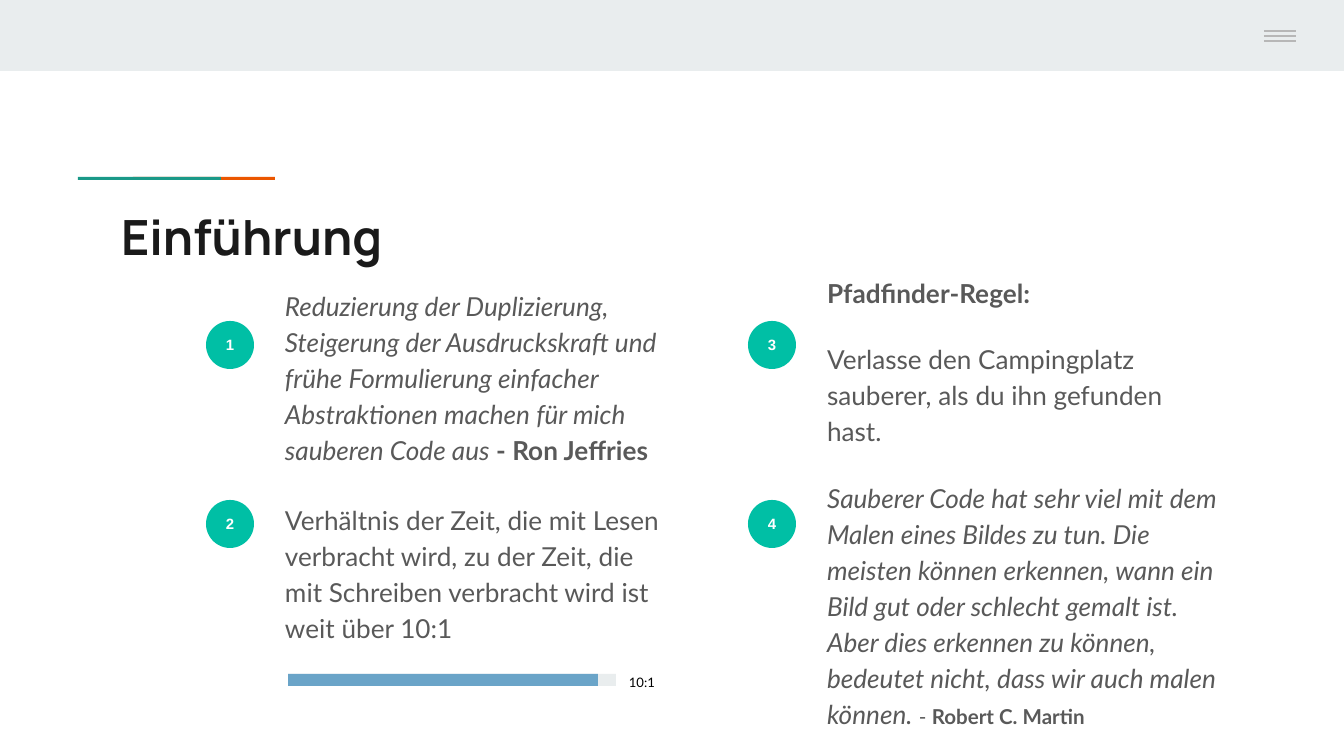
from dataclasses import dataclass, field

from pptx import Presentation
from pptx.dml.color import RGBColor
from pptx.enum.shapes import MSO_CONNECTOR as Connector, MSO_SHAPE as Shape
from pptx.enum.text import MSO_ANCHOR as Anchor, MSO_AUTO_SIZE as AutoSize, PP_ALIGN as Align
from pptx.oxml.ns import qn
from pptx.util import Emu, Pt

EMU_PER_PX = 914400 / 134.4
INSET = 13
BADGE_SIZE = 48


@dataclass(frozen=True)
class Theme:
    panel: str = "E9EDEE"
    menu: str = "B7B7B7"
    orange: str = "EB5600"
    teal: str = "1A9988"
    badge: str = "00BFA5"
    progress: str = "6AA4C8"
    title: str = "1A1A1A"
    body: str = "595959"
    black: str = "000000"
    white: str = "FFFFFF"
    title_size: int = 26
    body_size: int = 14
    author_size: int = 11
    badge_size: int = 8
    label_size: int = 7


THEME = Theme()


@dataclass(frozen=True)
class Box:
    left: int
    top: int
    width: int
    height: int


@dataclass(frozen=True)
class Span:
    text: str
    bold: bool = False
    italic: bool = False
    size: int = THEME.body_size
    color: str = THEME.body
    font: str = "Lato"


@dataclass(frozen=True)
class Point:
    number: int
    placeholder: int
    badge_left: int
    badge_top: int
    box: Box
    paragraphs: list[list[Span]] = field(default_factory=list)


POINTS = [
    Point(1, 1, 206, 321, Box(272, 273, 417, 187), [[
        Span("Reduzierung der Duplizierung, Steigerung der Ausdruckskraft und frühe "
             "Formulierung einfacher Abstraktionen machen für mich sauberen Code aus ", italic=True),
        Span("- Ron Jeffries", bold=True)]]),
    Point(2, 2, 206, 500, Box(272, 487, 417, 237), [[
        Span("Verhältnis der Zeit, die mit Lesen verbracht wird, zu der Zeit, die mit "
             "Schreiben verbracht wird ist weit über 10:1")]]),
    Point(3, 3, 748, 321, Box(814, 260, 417, 200), [
        [Span("Pfadfinder-Regel:", bold=True)],
        [Span("Verlasse den Campingplatz sauberer, als du ihn gefunden hast.")]]),
    Point(4, 4, 748, 500, Box(814, 465, 417, 246), [[
        Span("Sauberer Code hat sehr viel mit dem Malen eines Bildes zu tun. Die meisten "
             "können erkennen, wann ein Bild gut oder schlecht gemalt ist. Aber dies erkennen "
             "zu können, bedeutet nicht, dass wir auch malen können. ", italic=True),
        Span("- ", size=THEME.author_size),
        Span("Robert C. Martin", bold=True, size=THEME.author_size)]]),
]


def px(length: int) -> Emu:
    return Emu(round(length * EMU_PER_PX))


def place(shape, box: Box) -> None:
    shape.left, shape.top = px(box.left), px(box.top)
    shape.width, shape.height = px(box.width), px(box.height)


def write(shape, paragraphs: list[list[Span]], *, align=Align.LEFT, anchor=Anchor.TOP,
          line_spacing: float = 1.0, gap: int = 0) -> None:
    """Fill a shape with unbulleted paragraphs, gap points apart."""
    frame = shape.text_frame
    frame.word_wrap = True
    frame.auto_size = AutoSize.NONE
    frame.vertical_anchor = anchor
    frame.margin_left = frame.margin_right = px(INSET)
    frame.margin_top = frame.margin_bottom = px(INSET)
    for index, spans in enumerate(paragraphs):
        paragraph = frame.add_paragraph() if index else frame.paragraphs[0]
        properties = paragraph._p.get_or_add_pPr()
        properties.set("marL", "0")
        properties.set("indent", "0")
        properties.append(properties.makeelement(qn("a:buNone"), {}))
        paragraph.alignment = align
        paragraph.line_spacing = line_spacing
        paragraph.space_before = Pt(gap if index else 0)
        paragraph.space_after = Pt(0)
        for span in spans:
            run = paragraph.add_run()
            run.text = span.text
            run.font.name = span.font
            run.font.size = Pt(span.size)
            run.font.bold = span.bold
            run.font.italic = span.italic
            run.font.color.rgb = RGBColor.from_string(span.color)


def add_filled(slide, box: Box, color: str, kind=Shape.RECTANGLE):
    shape = slide.shapes.add_shape(kind, 0, 0, 0, 0)
    place(shape, box)
    shape.shadow.inherit = False
    shape.fill.solid()
    shape.fill.fore_color.rgb = RGBColor.from_string(color)
    shape.line.fill.background()
    return shape


def add_menu_line(slide, top: int) -> None:
    line = slide.shapes.add_connector(Connector.STRAIGHT, px(1264), px(top), px(1296), px(top))
    line.line.color.rgb = RGBColor.from_string(THEME.menu)
    line.line.width = Pt(0.75)
    properties = line._element.spPr
    properties.append(properties.makeelement(qn("a:effectLst"), {}))


def add_point(slide, point: Point) -> None:
    badge = add_filled(slide, Box(point.badge_left, point.badge_top, BADGE_SIZE, BADGE_SIZE),
                       THEME.badge, Shape.OVAL)
    number = Span(str(point.number), bold=True, size=THEME.badge_size,
                  color=THEME.white, font="Arial")
    write(badge, [[number]], align=Align.CENTER, anchor=Anchor.MIDDLE)
    body = slide.placeholders[point.placeholder]
    place(body, point.box)
    write(body, point.paragraphs, line_spacing=1.15, gap=16)


def main() -> None:
    presentation = Presentation()
    presentation.slide_width, presentation.slide_height = px(1344), px(756)
    comparison_layout = presentation.slide_layouts[4]
    slide = presentation.slides.add_slide(comparison_layout)

    add_filled(slide, Box(0, 0, 1344, 71), THEME.panel)
    for top in (31, 36, 41):
        add_menu_line(slide, top)
    add_filled(slide, Box(133, 177, 142, 3), THEME.orange)
    add_filled(slide, Box(78, 177, 143, 3), THEME.teal)

    title = slide.shapes.title
    place(title, Box(108, 194, 1130, 79))
    write(title, [[Span("Einführung", bold=True, size=THEME.title_size,
                        color=THEME.title, font="Manrope")]])

    for point in POINTS:
        add_point(slide, point)

    ratio = slide.shapes.add_textbox(0, 0, 0, 0)
    place(ratio, Box(616, 659, 98, 35))
    write(ratio, [[Span("10:1", size=THEME.label_size, color=THEME.black)]], line_spacing=1.15)
    add_filled(slide, Box(288, 674, 328, 12), THEME.panel)
    add_filled(slide, Box(288, 674, 310, 12), THEME.progress)

    presentation.save("out.pptx")


if __name__ == "__main__":
    main()
